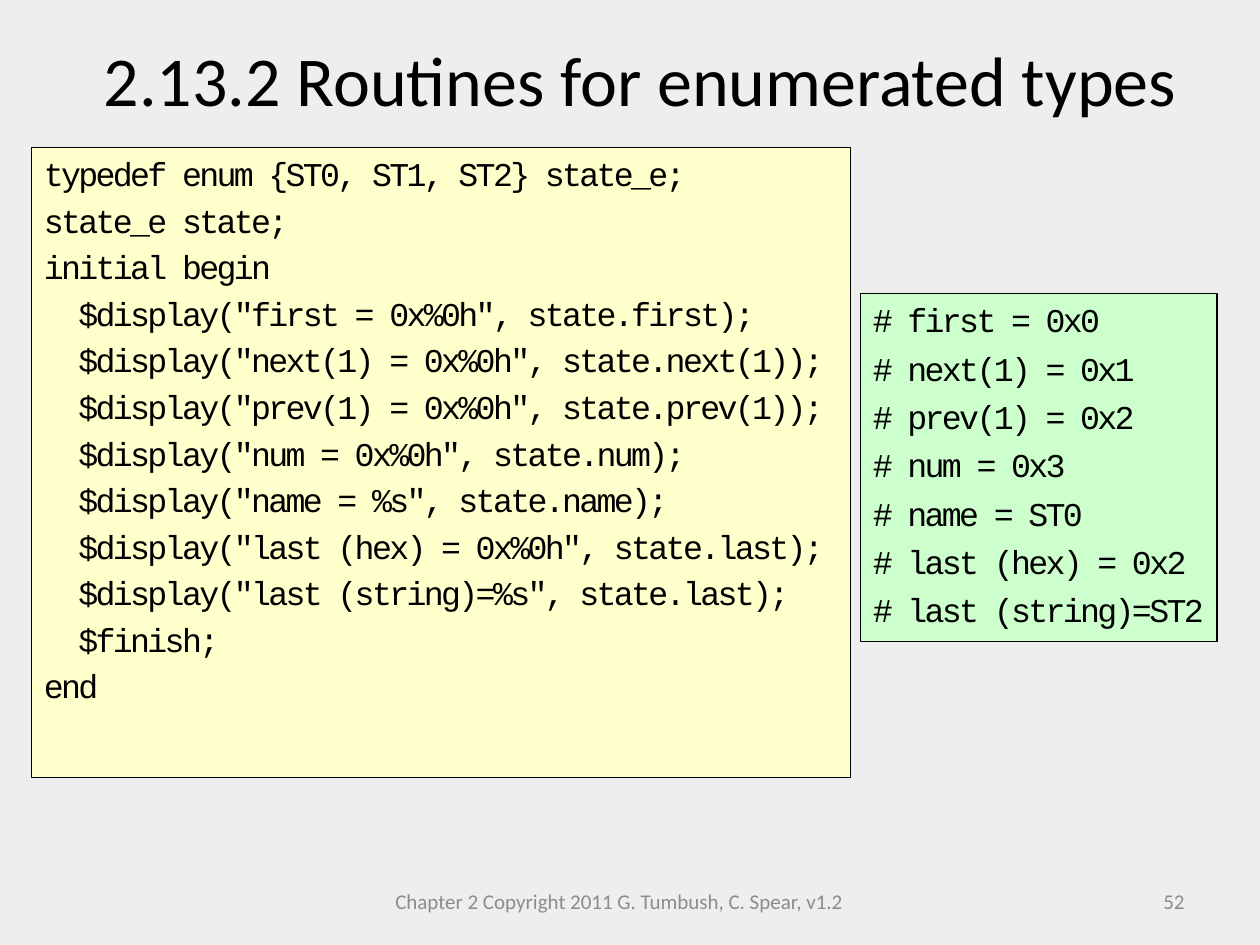
from pptx import Presentation
from pptx import util as u
from pptx.dml.color import RGBColor
from pptx.enum import shapes, text

SLIDE_W, SLIDE_H = 10, 7.5
INK, GREY = "000000", "8C8C8C"

CODE = """typedef enum {ST0, ST1, ST2} state_e;
state_e state;
initial begin
  $display("first = 0x%0h", state.first);
  $display("next(1) = 0x%0h", state.next(1));
  $display("prev(1) = 0x%0h", state.prev(1));
  $display("num = 0x%0h", state.num);
  $display("name = %s", state.name);
  $display("last (hex) = 0x%0h", state.last);
  $display("last (string)=%s", state.last);
  $finish;
end"""

OUTPUT = """# first = 0x0
# next(1) = 0x1
# prev(1) = 0x2
# num = 0x3
# name = ST0
# last (hex) = 0x2
# last (string)=ST2"""


def color(hex_code):
    return RGBColor.from_string(hex_code)


def inches(box):
    return [u.Inches(length) for length in box]


def style_run(run, font, size, ink):
    run.font.name = font
    run.font.size = u.Pt(size)
    run.font.color.rgb = color(ink)


def add_label(slide, box, words, size, ink, align):
    """One line of text, centred vertically in its box."""
    label = slide.shapes.add_textbox(*inches(box)).text_frame
    label.word_wrap = True
    label.vertical_anchor = text.MSO_ANCHOR.MIDDLE
    label.text = words
    label.paragraphs[0].alignment = align
    style_run(label.paragraphs[0].runs[0], "Calibri", size, ink)


def add_listing(slide, box, lines, fill, gap, wrap):
    """Outlined panel of monospaced lines, gap points apart."""
    panel = slide.shapes.add_shape(shapes.MSO_SHAPE.RECTANGLE, *inches(box))
    panel.shadow.inherit = False
    panel.fill.solid()
    panel.fill.fore_color.rgb = color(fill)
    panel.line.color.rgb = color(INK)
    panel.line.width = u.Pt(0.75)

    listing = panel.text_frame
    listing.word_wrap = wrap
    listing.vertical_anchor = text.MSO_ANCHOR.TOP
    listing.text = lines
    for line in listing.paragraphs:
        line.alignment = text.PP_ALIGN.LEFT
        line.space_before = u.Pt(gap)
        for run in line.runs:
            style_run(run, "Courier New", 19, INK)
            run.font._element.set("spc", "-150")  # tighter letters


def add_footer(slide, top, height):
    add_label(slide, (0.3 * SLIDE_W, top, 3.83, height),
              "Chapter 2 Copyright 2011 G. Tumbush, C. Spear, v1.2",
              12, GREY, text.PP_ALIGN.CENTER)
    add_label(slide, (7.17, top, 2.33, height), "52",
              12, GREY, text.PP_ALIGN.RIGHT)


def main():
    deck = Presentation()
    deck.slide_width, deck.slide_height = inches((SLIDE_W, SLIDE_H))
    slide = deck.slides.add_slide(deck.slide_layouts[6])
    slide.background.fill.solid()
    slide.background.fill.fore_color.rgb = color("EEEEEE")

    # Title
    add_label(slide, (0.58, 0, 0.9 * SLIDE_W, SLIDE_H / 6),
              "2.13.2 Routines for enumerated types",
              40, INK, text.PP_ALIGN.CENTER)
    # Source code and what it prints
    add_listing(slide, (0.25, 1.17, 6.5, 5), CODE, "FFFFCC", 3.8, True)
    add_listing(slide, (6.83, 2.33, 2.83, 2.76), OUTPUT, "CCFFCC", 4.8, False)
    # Footer
    add_footer(slide, 6.95, 0.4)

    deck.save("out.pptx")


if __name__ == "__main__":
    main()
